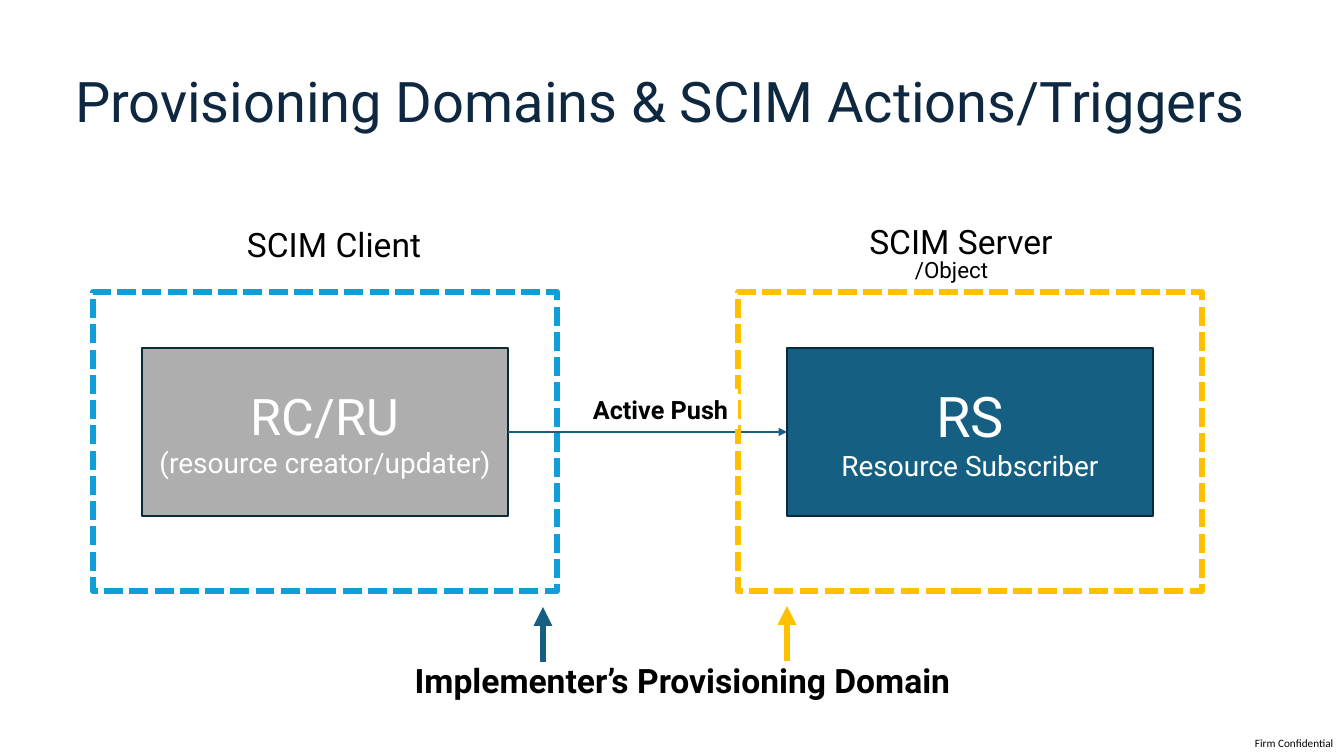
from lxml import etree
from pptx import Presentation
from pptx import util as u
from pptx.dml.color import RGBColor
from pptx.enum import dml, shapes, text
from pptx.oxml.ns import qn

PX = 914400 / 100.8
COLORS = {"navy": "0E2841", "outline": "092A39", "teal": "156082", "gray": "AEAEAE",
          "blue": "0F9ED5", "gold": "FFC000", "white": "FFFFFF", "black": "000000"}

TITLE = "Provisioning Domains & SCIM Actions/Triggers"
CLIENT_LEFT, SERVER_LEFT = 93, 738
DOMAIN_TOP, DOMAIN_WIDTH, DOMAIN_HEIGHT = 292, 464, 299
ROLE_INSET, ROLE_TOP, ROLE_WIDTH, ROLE_HEIGHT = 49, 348, 366, 168

# domain left, fill, lines as (text, size)
ROLES = [
    (SERVER_LEFT, "teal", [("RS", 40), ("Resource Subscriber", 20)]),
    (CLIENT_LEFT, "gray", [("RC/RU", 36), ("(resource creator/updater)", 20)]),
]
# text, box, size, bold
LABELS = [
    ("/Object", (866, 251, 171, 37), 16, False),
    ("SCIM Client", (210, 219, 248, 50), 24, False),
    ("SCIM Server", (834, 216, 254, 50), 24, False),
    ("Implementer’s Provisioning Domain", (380, 655, 605, 50), 24, True),
]
PUSH_LABEL = ("Active Push", (583, 389, 155, 40), 18)
CONFIDENTIAL = ("Firm Confidential", (1255, 736, 85, 13), 8)
# x, bottom, top, colour
DOMAIN_ARROWS = [(543, 662, 607, "teal"), (787, 661, 606, "gold")]


def px(*lengths):
    return [u.Emu(round(length * PX)) for length in lengths]


def color(name):
    return RGBColor.from_string(COLORS[name])


def write(shape, lines, ink, align=text.PP_ALIGN.CENTER, bold=False, font="Roboto"):
    """Fill a shape with one paragraph per (text, size) line."""
    frame = shape.text_frame
    frame.text = "\n".join(line for line, _ in lines)
    for paragraph, (_, size) in zip(frame.paragraphs, lines):
        paragraph.alignment = align
        for run in paragraph.runs:
            run.font.name, run.font.size, run.font.bold = font, u.Pt(size), bold
            run.font.color.rgb = color(ink)
    return frame


def add_label(slide, words, box, size, bold=False, **style):
    label = slide.shapes.add_textbox(*px(*box))
    frame = write(label, [(words, size)], "black", bold=bold, **style)
    frame.word_wrap = True
    return label


def add_box(slide, box, fill=None, line=None, width=1.5):
    shape = slide.shapes.add_shape(shapes.MSO_SHAPE.RECTANGLE, *px(*box))
    shape.shadow.inherit = False
    if fill:
        shape.fill.solid()
        shape.fill.fore_color.rgb = color(fill)
    else:
        shape.fill.background()
    if line:
        shape.line.color.rgb = color(line)
        shape.line.width = u.Pt(width)
    else:
        shape.line.fill.background()
    return shape


def add_domain(slide, left, line):
    domain = add_box(slide, (left, DOMAIN_TOP, DOMAIN_WIDTH, DOMAIN_HEIGHT), line=line, width=4.5)
    domain.line.dash_style = dml.MSO_LINE.SQUARE_DOT


def add_arrow(slide, ends, line, width):
    arrow = slide.shapes.add_connector(shapes.MSO_CONNECTOR.STRAIGHT, *px(*ends))
    arrow.line.color.rgb = color(line)
    arrow.line.width = u.Pt(width)
    etree.SubElement(arrow.line._get_or_add_ln(), qn("a:tailEnd"), type="triangle")
    etree.SubElement(arrow._element.spPr, qn("a:effectLst"))


def main():
    presentation = Presentation()
    presentation.slide_width, presentation.slide_height = px(1344, 756)
    slide = presentation.slides.add_slide(presentation.slide_layouts[5])

    title = slide.shapes.title
    title.left, title.top, title.width, title.height = px(65, 50, 1227, 108)
    frame = write(title, [(TITLE, 40)], "navy", text.PP_ALIGN.LEFT)
    frame.vertical_anchor = text.MSO_ANCHOR.MIDDLE
    frame.auto_size = text.MSO_AUTO_SIZE.NONE
    frame.paragraphs[0].line_spacing = 0.9

    words, box, size = CONFIDENTIAL
    footer = add_label(slide, words, box, size, align=text.PP_ALIGN.LEFT, font="Calibri")
    frame = footer.text_frame
    frame.margin_left = frame.margin_right = frame.margin_top = frame.margin_bottom = 0
    frame.word_wrap = False

    for left, fill, lines in ROLES:
        box = (left + ROLE_INSET, ROLE_TOP, ROLE_WIDTH, ROLE_HEIGHT)
        role = add_box(slide, box, fill, "outline")
        write(role, lines, "white").vertical_anchor = text.MSO_ANCHOR.MIDDLE

    push_y = ROLE_TOP + ROLE_HEIGHT // 2
    push_start = CLIENT_LEFT + ROLE_INSET + ROLE_WIDTH
    add_arrow(slide, (push_start, push_y, SERVER_LEFT + ROLE_INSET, push_y), "teal", 1.5)

    add_domain(slide, SERVER_LEFT, "gold")
    for label in LABELS:
        add_label(slide, *label)
    words, box, size = PUSH_LABEL
    push = add_box(slide, box, "white")
    frame = write(push, [(words, size)], "black", text.PP_ALIGN.LEFT, bold=True)
    frame.vertical_anchor = text.MSO_ANCHOR.TOP
    frame.word_wrap = False
    add_domain(slide, CLIENT_LEFT, "blue")

    for x, bottom, top, line in DOMAIN_ARROWS:
        add_arrow(slide, (x, bottom, x, top), line, 4.5)

    presentation.save("out.pptx")


if __name__ == "__main__":
    main()
